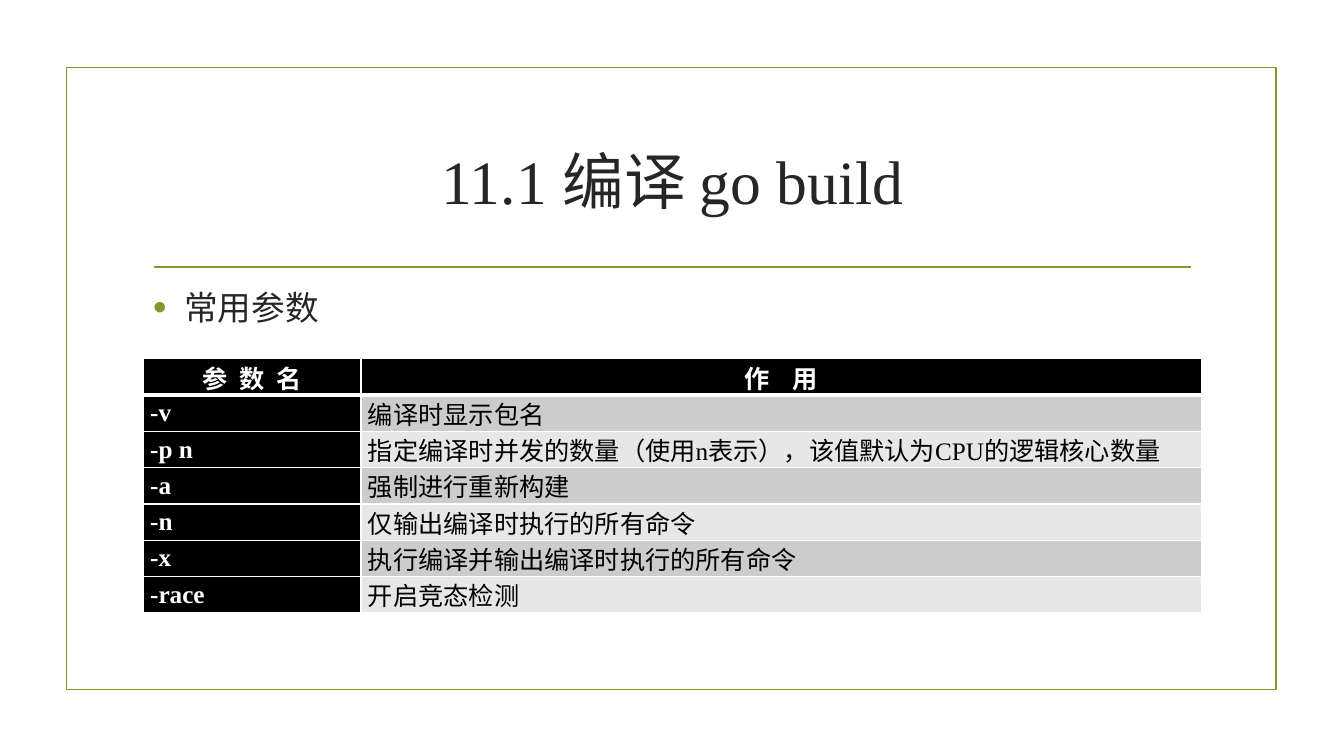
from lxml import etree
from pptx import Presentation
from pptx.dml.color import RGBColor
from pptx.enum.shapes import MSO_CONNECTOR, MSO_SHAPE
from pptx.enum.text import MSO_ANCHOR, PP_ALIGN
from pptx.oxml import parse_xml
from pptx.oxml.ns import nsdecls, qn
from pptx.util import Inches, Pt

RECT = MSO_SHAPE.RECTANGLE
STRAIGHT = MSO_CONNECTOR.STRAIGHT
MIDDLE = MSO_ANCHOR.MIDDLE
TOP = MSO_ANCHOR.TOP
CENTER = PP_ALIGN.CENTER
JUSTIFY = PP_ALIGN.JUSTIFY

FONT = "Times New Roman"
GREEN = RGBColor(0x83, 0x99, 0x2A)
DARK = RGBColor(0x26, 0x26, 0x26)
BLACK = RGBColor(0x00, 0x00, 0x00)
WHITE = RGBColor(0xFF, 0xFF, 0xFF)
BAND_DARK = RGBColor(0xCC, 0xCC, 0xCC)
BAND_LIGHT = RGBColor(0xE7, 0xE7, 0xE7)

LEFT, WIDTH = Inches(1.42), Inches(10.5)
ROW_HEIGHT = Inches(0.36)
ROWS = [
    ("参  数  名", "作    用"),
    ("-v", "编译时显示包名"),
    ("-p n", "指定编译时并发的数量（使用n表示），该值默认为CPU的逻辑核心数量"),
    ("-a", "强制进行重新构建"),
    ("-n", "仅输出编译时执行的所有命令"),
    ("-x", "执行编译并输出编译时执行的所有命令"),
    ("-race", "开启竞态检测"),
]


def add_text(top, height, text, size, anchor):
    """Add a full-width text box and return its only paragraph."""
    tf = slide.shapes.add_textbox(LEFT, top, WIDTH, height).text_frame
    tf.word_wrap = True
    tf.vertical_anchor = anchor
    p = tf.paragraphs[0]
    p.text = text
    p.font.name, p.font.size = FONT, Pt(size)
    p.font.color.rgb = DARK
    return p


def set_borders(cell, bottom_width):
    """Draw white borders, 1 pt except for the bottom one."""
    tcPr = cell._tc.get_or_add_tcPr()
    for side, width in (("L", 1), ("R", 1), ("T", 1), ("B", bottom_width)):
        tcPr.append(parse_xml(
            f'<a:ln{side} {nsdecls("a")} w="{Pt(width)}"><a:solidFill>'
            f'<a:srgbClr val="{WHITE}"/></a:solidFill></a:ln{side}>'))


prs = Presentation()
prs.slide_width, prs.slide_height = Inches(13.33), Inches(7.5)
slide = prs.slides.add_slide(prs.slide_layouts[6])

# Frame and title rule
frame = slide.shapes.add_shape(RECT, Inches(0.66), Inches(0.67), Inches(12), Inches(6.17))
frame.shadow.inherit = False
frame.fill.background()
rule = slide.shapes.add_connector(STRAIGHT, Inches(1.53), Inches(2.65), Inches(11.81), Inches(2.65))
etree.SubElement(rule._element.spPr, qn("a:effectLst"))
for sp in (frame, rule):
    sp.line.color.rgb = GREEN
    sp.line.width = Pt(1.25)

# Title and bullet
title = add_text(Inches(1.07), Inches(1.43), "11.1 编译 go build", 44, MIDDLE)
title.alignment = CENTER

bullet = add_text(Inches(2.8), Inches(0.6), "常用参数", 24, TOP)
bullet.space_before, bullet.space_after = Pt(4.8), Pt(6)
pPr = bullet._p.get_or_add_pPr()
pPr.set("marL", str(Inches(0.31)))
pPr.set("indent", str(-Inches(0.31)))
bullet_parts = (
    f'<a:buClr {nsdecls("a")}><a:srgbClr val="{GREEN}"/></a:buClr>',
    f'<a:buSzPct {nsdecls("a")} val="115000"/>',
    f'<a:buFont {nsdecls("a")} typeface="Arial"/>',
    f'<a:buChar {nsdecls("a")} char="•"/>',
)
defaults = pPr.find(qn("a:defRPr"))
for part in bullet_parts:
    defaults.addprevious(parse_xml(part))

# Parameter table
table = slide.shapes.add_table(
    len(ROWS), 2, LEFT, Inches(3.56), WIDTH, ROW_HEIGHT * len(ROWS)).table
table.columns[0].width, table.columns[1].width = Inches(2.16), Inches(8.34)
for i, row in enumerate(ROWS):
    table.rows[i].height = ROW_HEIGHT
    for j, text in enumerate(row):
        cell = table.cell(i, j)
        is_header = i == 0 or j == 0
        band = BAND_DARK if i % 2 else BAND_LIGHT
        set_borders(cell, 3 if i == 0 else 1)
        cell.fill.solid()
        cell.fill.fore_color.rgb = BLACK if is_header else band
        cell.vertical_anchor = MIDDLE
        cell.margin_left = cell.margin_right = Inches(0.07)
        cell.margin_top = cell.margin_bottom = 0
        p = cell.text_frame.paragraphs[0]
        p.text = text
        p.alignment = CENTER if i == 0 else JUSTIFY
        p.font.name, p.font.size = FONT, Pt(18)
        p.font.bold = is_header
        p.font.color.rgb = WHITE if is_header else BLACK

prs.save("out.pptx")
